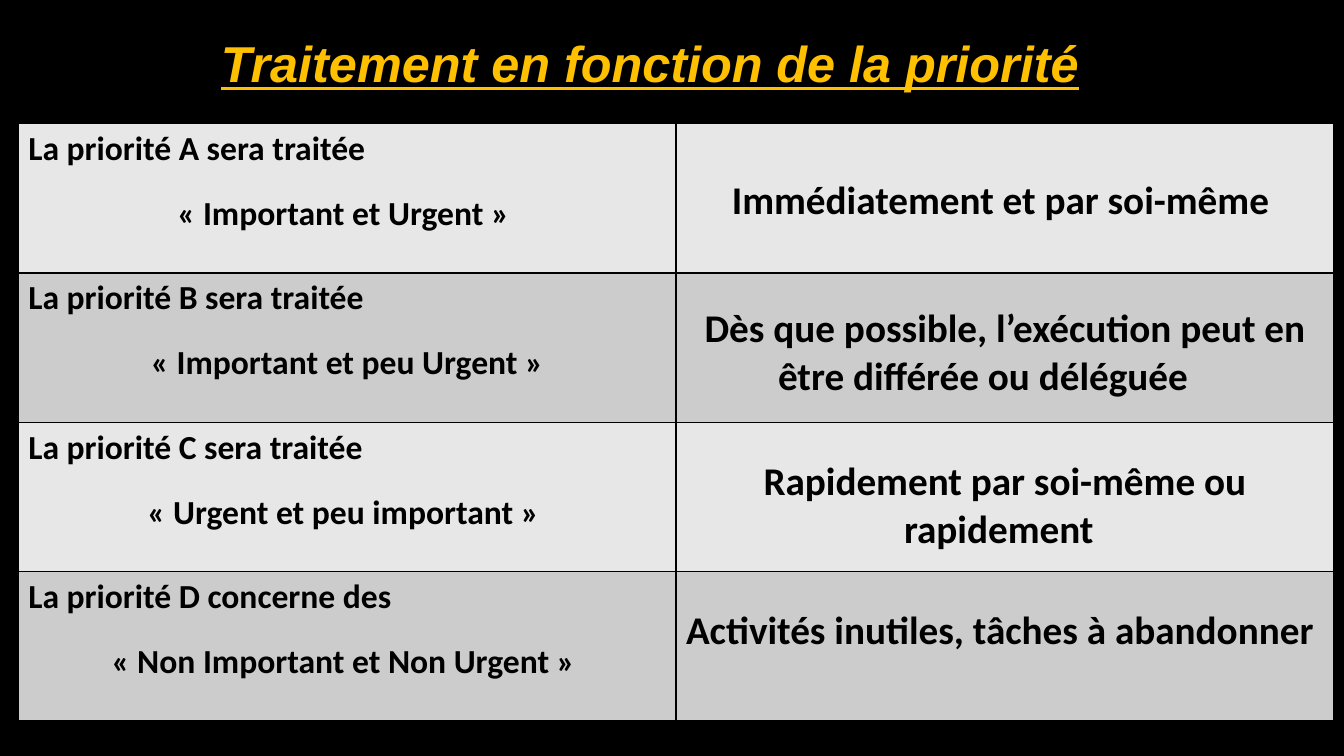
from lxml.etree import SubElement
from pptx import Presentation
from pptx.dml.color import RGBColor
from pptx.enum.text import MSO_ANCHOR as Anchor, MSO_AUTO_SIZE as AutoSize, PP_ALIGN as Align
from pptx.oxml.ns import qn
from pptx.util import Cm, Pt

COLORS = {
    "background": "000000",
    "title": "FFC000",
    "text": "000000",
    "border": "000000",
    "odd_row": "E7E7E7",
    "even_row": "CCCCCC",
}

# Priority, its meaning, its treatment, top margin of the treatment in cm
PRIORITIES = [
    ("La priorité A sera traitée", "« Important et Urgent » ",
     "Immédiatement et par soi-même ", 1.34),
    ("La priorité B sera traitée", " « Important et peu Urgent » ",
     "Dès que possible, l’exécution peut en être différée ou déléguée \t", 0.82),
    ("La priorité C sera traitée", "« Urgent et peu important » ",
     "Rapidement par soi-même ou rapidement \t", 0.9),
    ("La priorité D concerne des", "« Non Important et Non Urgent » ",
     "Activités inutiles, tâches à abandonner \t", 0.9),
]


def rgb(name):
    return RGBColor.from_string(COLORS[name])


def write(paragraph, text, size=24, font="Calibri", color="text", align=Align.LEFT,
          italic=False, underline=False, space_before=0):
    paragraph.alignment = align
    paragraph.space_before = Pt(space_before)
    run = paragraph.add_run()
    run.text = text
    run.font.name = font
    run.font.size = Pt(size)
    run.font.bold = True
    run.font.italic = italic
    run.font.underline = underline
    run.font.color.rgb = rgb(color)


def style_cell(cell, fill):
    """Fill the cell and draw a thin line on its four sides."""
    cell.vertical_anchor = Anchor.TOP
    properties = cell._tc.get_or_add_tcPr()
    for side in ("a:lnL", "a:lnR", "a:lnT", "a:lnB"):
        line = SubElement(properties, qn(side), w=str(Pt(1)))
        solid = SubElement(line, qn("a:solidFill"))
        SubElement(solid, qn("a:srgbClr"), val=COLORS["border"])
    cell.fill.solid()
    cell.fill.fore_color.rgb = rgb(fill)


def add_title(slide, left, top, width, height):
    title = slide.shapes.title
    title.left, title.top, title.width, title.height = left, top, width, height
    frame = title.text_frame
    frame.word_wrap = False
    frame.auto_size = AutoSize.NONE
    frame.vertical_anchor = Anchor.TOP
    write(frame.paragraphs[0], "Traitement en fonction de la priorité", size=36,
          font="Arial", color="title", italic=True, underline=True)


def add_priorities(slide, left, top, width, height):
    table = slide.shapes.add_table(len(PRIORITIES), 2, left, top, width, height).table
    table.first_row = False
    table.horz_banding = False
    for index, (priority, meaning, treatment, margin) in enumerate(PRIORITIES):
        priority_cell, treatment_cell = table.rows[index].cells
        for cell in (priority_cell, treatment_cell):
            style_cell(cell, "even_row" if index % 2 else "odd_row")
        frame = priority_cell.text_frame
        write(frame.paragraphs[0], priority)
        write(frame.add_paragraph(), meaning, align=Align.CENTER, space_before=17)
        treatment_cell.margin_top = Cm(margin)
        write(treatment_cell.text_frame.paragraphs[0], treatment, size=28,
              align=Align.CENTER)


def main():
    deck = Presentation()
    deck.slide_width, deck.slide_height = Cm(33.87), Cm(19.05)
    slide = deck.slides.add_slide(deck.slide_layouts[5])
    background = slide.background.fill
    background.solid()
    background.fore_color.rgb = rgb("background")
    add_title(slide, Cm(5.31), Cm(0.69), Cm(22.28), Cm(1.8))
    add_priorities(slide, Cm(0.46), Cm(3.12), Cm(33.15), Cm(15.04))
    deck.save("out.pptx")


if __name__ == "__main__":
    main()
